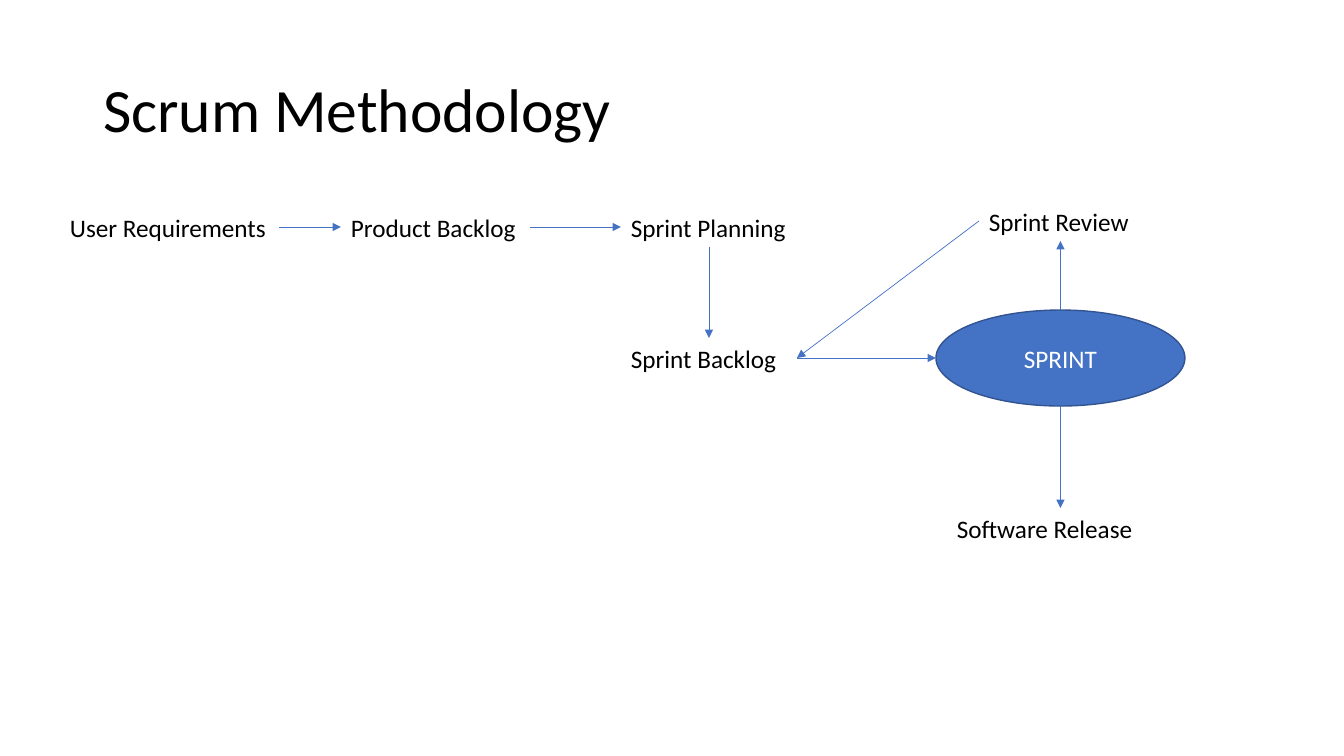
from lxml.etree import SubElement
from pptx import Presentation
from pptx.dml.color import RGBColor
from pptx.enum.shapes import MSO_CONNECTOR, MSO_SHAPE
from pptx.enum.text import MSO_ANCHOR, PP_ALIGN
from pptx.oxml.ns import qn
from pptx.util import Pt

TITLE = ("Scrum Methodology", (93, 40, 1159, 146))
LABELS = {
    "User Requirements": (60, 207, 219, 40),
    "Product Backlog": (341, 207, 189, 40),
    "Sprint Planning": (621, 207, 176, 40),
    "Sprint Backlog": (621, 338, 176, 40),
    "Sprint Review": (979, 201, 163, 40),
    "Software Release": (947, 508, 227, 40),
}
SPRINT = ("SPRINT", (936, 310, 249, 96))
FLOWS = [
    ("User Requirements", "right", "Product Backlog", "left"),
    ("Product Backlog", "right", "Sprint Planning", "left"),
    ("Sprint Planning", "bottom", "Sprint Backlog", "top"),
    ("Sprint Backlog", "right", "SPRINT", "left"),
    ("SPRINT", "top", "Sprint Review", "bottom"),
    ("Sprint Review", "left", "Sprint Backlog", "right"),
    ("SPRINT", "bottom", "Software Release", "top"),
]
SIDES = {"left": (0, 0.5), "right": (1, 0.5), "top": (0.5, 0), "bottom": (0.5, 1)}
BLUE, DARK_BLUE, BLACK, WHITE = "4472C4", "325491", "000000", "FFFFFF"


def px(n):
    return round(n * 914400 / 100.8)


def rgb(color):
    return RGBColor.from_string(color)


def style(obj, values):
    for name, value in values.items():
        setattr(obj, name, value)


def write(sp, text, size, color, anchor, align=PP_ALIGN.LEFT, spacing=1.0):
    tf = sp.text_frame
    style(tf, {"word_wrap": True, "vertical_anchor": anchor})
    p = tf.paragraphs[0]
    style(p, {"alignment": align, "line_spacing": spacing})
    r = p.add_run()
    r.text = text
    style(r.font, {"name": "Calibri", "size": Pt(size)})
    r.font.color.rgb = rgb(color)


def side_point(name, side):
    x, y, w, h = boxes[name]
    fx, fy = SIDES[side]
    return px(x + w * fx), px(y + h * fy)


def add_arrow(start, start_side, end, end_side):
    line = s.shapes.add_connector(
        MSO_CONNECTOR.STRAIGHT,
        *side_point(start, start_side), *side_point(end, end_side))
    line.line.color.rgb = rgb(BLUE)
    line.line.width = Pt(0.5)
    SubElement(line.line._get_or_add_ln(), qn("a:tailEnd"), type="triangle")
    SubElement(line._element.spPr, qn("a:effectLst"))


prs = Presentation()
style(prs, {"slide_width": px(1344), "slide_height": px(756)})
s = prs.slides.add_slide(prs.slide_layouts[5])

title, title_box = TITLE
sp = s.shapes.title
style(sp, dict(zip(("left", "top", "width", "height"), map(px, title_box))))
write(sp, title, 44, BLACK, MSO_ANCHOR.MIDDLE, spacing=0.9)

for label, box in LABELS.items():
    sp = s.shapes.add_textbox(*map(px, box))
    write(sp, label, 18, BLACK, MSO_ANCHOR.TOP)

sprint, sprint_box = SPRINT
sp = s.shapes.add_shape(MSO_SHAPE.OVAL, *map(px, sprint_box))
sp.shadow.inherit = False
sp.fill.solid()
sp.fill.fore_color.rgb = rgb(BLUE)
sp.line.color.rgb = rgb(DARK_BLUE)
sp.line.width = Pt(1)
write(sp, sprint, 18, WHITE, MSO_ANCHOR.MIDDLE, PP_ALIGN.CENTER)

boxes = {**LABELS, sprint: sprint_box}
for flow in FLOWS:
    add_arrow(*flow)

prs.save("out.pptx")
